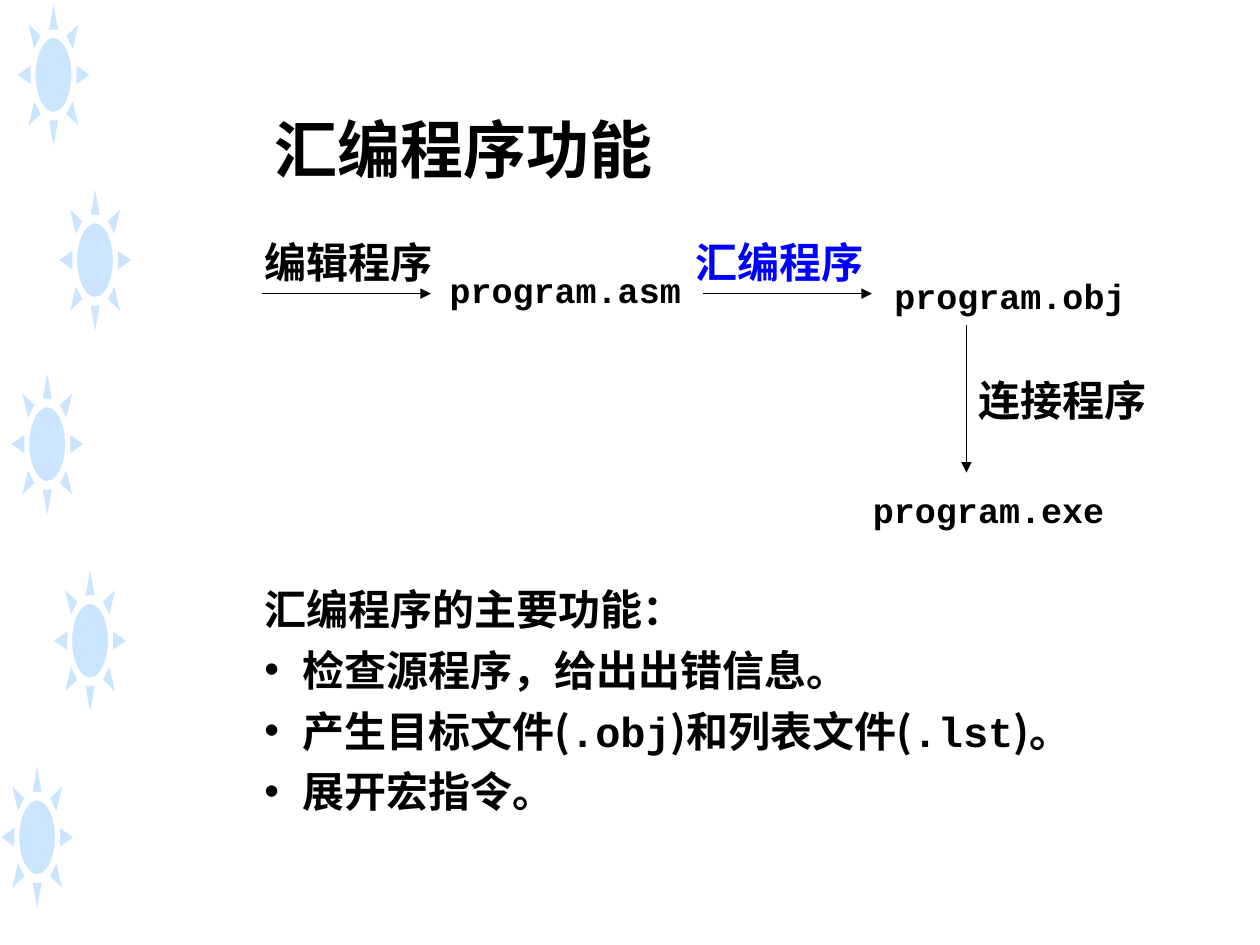
import pptx
import pptx.dml.color
import pptx.enum.shapes
import pptx.oxml
import pptx.oxml.ns
import pptx.util
from pptx.util import Inches

BLACK = pptx.dml.color.RGBColor(0x00, 0x00, 0x00)
WHITE = pptx.dml.color.RGBColor(0xFF, 0xFF, 0xFF)
BLUE = pptx.dml.color.RGBColor(0x00, 0x00, 0xFF)
SKY = pptx.dml.color.RGBColor(0x99, 0xCC, 0xFF)

CHINESE = "Noto Sans CJK SC"
CODE = "Courier New"


def add_element(parent, tag, **attributes):
    element = pptx.oxml.parse_xml(f"<a:{tag} {pptx.oxml.ns.nsdecls('a')}/>")
    for name, value in attributes.items():
        element.set(name, str(value))
    parent.append(element)
    return element


def add_box(page, left, top, width, height, wrap=True):
    frame = page.shapes.add_textbox(left, top, width, height).text_frame
    frame.word_wrap = wrap
    return frame


def style(para, size, face, color=BLACK):
    font = para.font
    font.size = pptx.util.Pt(size)
    font.name = face
    font.bold = True
    font.color.rgb = color
    add_element(font._element, "ea", typeface=CHINESE)


def add_label(page, text, left, top, width, height, size, face, color=BLACK, wrap=True):
    para = add_box(page, left, top, width, height, wrap).paragraphs[0]
    para.text = text
    style(para, size, face, color)


def add_arrow(page, start_x, start_y, end_x, end_y):
    arrow = page.shapes.add_connector(
        pptx.enum.shapes.MSO_CONNECTOR.STRAIGHT, start_x, start_y, end_x, end_y)
    arrow.line.color.rgb = BLACK
    arrow.line.width = pptx.util.Pt(0.75)
    add_element(arrow.line._get_or_add_ln(), "tailEnd", type="triangle")
    add_element(arrow._element.spPr, "effectLst")


def add_suns(page, positions, width, height):
    for left, top in positions:
        sun = page.shapes.add_shape(
            pptx.enum.shapes.MSO_SHAPE.SUN, Inches(left), Inches(top), width, height)
        sun.shadow.inherit = False
        sun.fill.solid()
        sun.fill.fore_color.rgb = SKY
        color = sun._element.spPr.find(".//" + pptx.oxml.ns.qn("a:srgbClr"))
        add_element(color, "alpha", val=50000)
        sun.line.color.rgb = WHITE
        sun.line.width = pptx.util.Pt(0.75)


def add_flow(page, left, top):
    # Programs that act on the files: text, offset, colour
    for text, x, y, color in (
        ("编辑程序", 0, 0, BLACK),
        ("汇编程序", 3.42, 0, BLUE),
        ("连接程序", 5.67, 1.09, BLACK),
    ):
        add_label(page, text, left + Inches(x), top + Inches(y),
                  Inches(1.58), Inches(0.5), 24, "Times New Roman", color)

    # Files
    for text, x, y in (
        ("program.asm", 1.47, 0.25),
        ("program.obj", 5, 0.3),
        ("program.exe", 4.83, 2),
    ):
        add_label(page, text, left + Inches(x), top + Inches(y),
                  Inches(2.4), Inches(0.43), 20, CODE)

    # Arrows
    for start_x, start_y, end_x, end_y in (
        (0.08, 0.5, 1.42, 0.5),
        (3.58, 0.5, 4.92, 0.5),
        (5.67, 0.75, 5.67, 1.92),
    ):
        add_arrow(page, left + Inches(start_x), top + Inches(start_y),
                  left + Inches(end_x), top + Inches(end_y))


def add_functions(page, left, top, width, height):
    frame = add_box(page, left, top, width, height)
    heading = frame.paragraphs[0]
    heading.text = "汇编程序的主要功能："
    style(heading, 24, "Times New Roman")

    for parts in (
        ["检查源程序，给出出错信息。"],
        ["产生目标文件(", ".obj", ")和列表文件(", ".lst", ")。"],
        ["展开宏指令。"],
    ):
        para = frame.add_paragraph()
        para.space_before = pptx.util.Pt(6)
        properties = para._p.get_or_add_pPr()
        properties.set("marL", str(Inches(0.3)))
        properties.set("indent", str(-Inches(0.3)))
        add_element(properties, "buFont", typeface="Arial")
        add_element(properties, "buChar", char="•")
        style(para, 24, CHINESE)
        for part in parts:
            span = para.add_run()
            span.text = part
            if part.startswith("."):
                span.font.name = CODE


def main():
    deck = pptx.Presentation()
    deck.slide_width, deck.slide_height = Inches(10), Inches(7.5)
    page = deck.slides.add_slide(deck.slide_layouts[6])

    sun_positions = ((0.13, 0), (0.46, 1.47), (0.08, 2.93), (0.42, 4.49), (0, 6.05))
    add_suns(page, sun_positions, Inches(0.59), Inches(1.19))
    add_flow(page, Inches(2), Inches(1.83))
    add_label(page, "汇编程序功能", Inches(2.08), Inches(0.83),
              Inches(3.24), Inches(0.71), 36, "Arial", wrap=False)
    add_functions(page, Inches(2), Inches(4.58), Inches(7.08), Inches(2.3))
    deck.save("out.pptx")


if __name__ == "__main__":
    main()
